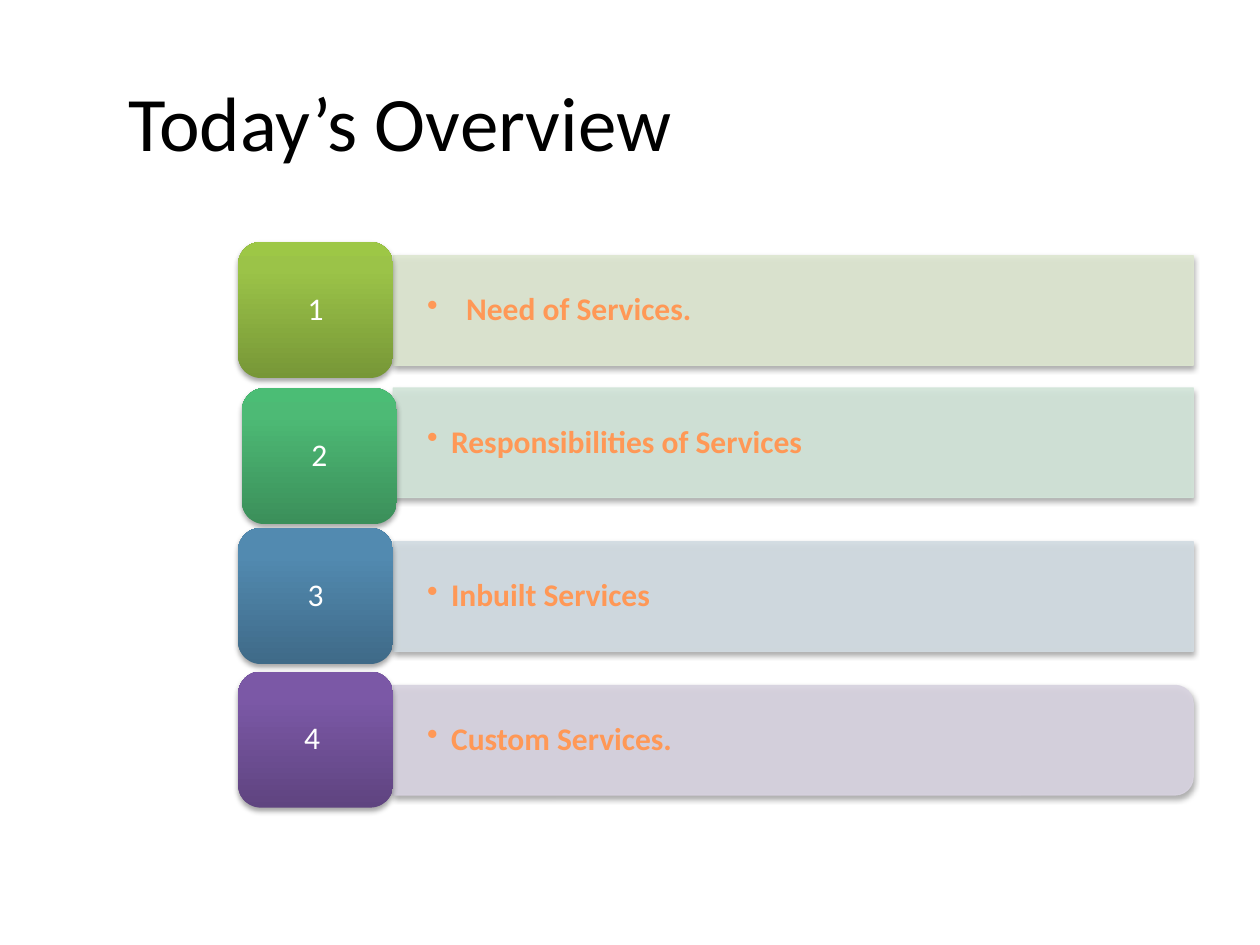
from dataclasses import dataclass

from lxml.etree import SubElement
from pptx import Presentation
from pptx.dml.color import RGBColor
from pptx.enum.shapes import MSO_SHAPE
from pptx.enum.text import MSO_ANCHOR, PP_ALIGN
from pptx.oxml.ns import qn
from pptx.shapes.autoshape import Shape
from pptx.slide import Slide
from pptx.util import Inches, Pt

BAR_LEFT, BAR_WIDE, BAR_HIGH = 3.12, 6.35, 0.87
TAG_WIDE, TAG_HIGH = 1.23, 1.08


@dataclass
class Topic:
    """One numbered line of the overview."""
    mark: str
    label: str
    bar_top: float
    tag_left: float
    tag_top: float
    tint: str
    ramp: tuple[str, str, str]
    indent: float = 0.19
    form: MSO_SHAPE = MSO_SHAPE.RECTANGLE


TOPICS = [
    Topic("1", "Need of Services.", 2.03, 1.89, 1.92, "DEE7D1",
          ("779737", "9BC348", "9DC746"), indent=0.31),
    Topic("2", "Responsibilities of Services", 3.08, 1.92, 3.08, "D2E5D9",
          ("3B8F5A", "4DBA75", "4BBD75")),
    Topic("3", "Inbuilt Services", 4.3, 1.89, 4.19, "D2DCE2",
          ("3F6A88", "528AB0", "518BB3")),
    Topic("4 ", "Custom Services.", 5.44, 1.89, 5.33, "D8D3E0",
          ("5F4480", "7B58A6", "7C57A8"), form=MSO_SHAPE.ROUND_2_SAME_RECTANGLE),
]


def color(code: str) -> RGBColor:
    """Turn a hex string into a colour."""
    return RGBColor.from_string(code)


def write(shape: Shape, text: str, *, size: float = 18, ink: str = "FFFFFF",
          bold: bool = False, align: PP_ALIGN = PP_ALIGN.LEFT, inset: tuple[float, float] = (0.1, 0.05),
          space: float = 0.9, indent: float = 0) -> None:
    """Put formatted text in a shape, bulleted when an indent is given."""
    frame = shape.text_frame
    frame.word_wrap = True
    frame.vertical_anchor = MSO_ANCHOR.MIDDLE
    frame.margin_left = frame.margin_right = Inches(inset[0])
    frame.margin_top = frame.margin_bottom = Inches(inset[1])
    para = frame.paragraphs[0]
    para.alignment, para.line_spacing = align, space
    run = para.add_run()
    run.text = text
    font = run.font
    font.name, font.size, font.bold = "Calibri", Pt(size), bold
    font.color.rgb = color(ink)
    if indent:
        para.level = 1
        props = para._p.get_or_add_pPr()
        props.set("marL", str(Inches(indent)))
        props.set("indent", str(-Inches(indent)))
        SubElement(props, qn("a:buChar"), char="•")


def shade(shape: Shape) -> None:
    """Give a shape a soft shadow below it."""
    shape.shadow.inherit = False
    effects = shape._element.spPr.find(qn("a:effectLst"))
    outer = SubElement(effects, qn("a:outerShdw"), blurRad=str(Pt(3.1)), dist=str(Pt(1.8)),
                       dir="5400000", rotWithShape="0")
    black = SubElement(outer, qn("a:srgbClr"), val="000000")
    SubElement(black, qn("a:alpha"), val="35000")


def draw_bar(slide: Slide, topic: Topic) -> None:
    """Draw the wide bar, turned on its side, and its label."""
    mid_x, mid_y = BAR_LEFT + BAR_WIDE / 2, topic.bar_top + BAR_HIGH / 2
    bar = slide.shapes.add_shape(
        topic.form, Inches(mid_x - BAR_HIGH / 2), Inches(mid_y - BAR_WIDE / 2),
        Inches(BAR_HIGH), Inches(BAR_WIDE))
    bar.rotation = 90
    bar.fill.solid()
    bar.fill.fore_color.rgb = color(topic.tint)
    bar.line.color.rgb = color(topic.tint)
    bar.line.width = Pt(0.75)
    for tone in list(bar._element.spPr.iter(qn("a:srgbClr"))):
        SubElement(tone, qn("a:alpha"), val="90000")
    shade(bar)
    label = slide.shapes.add_textbox(Inches(BAR_LEFT), Inches(topic.bar_top),
                                     Inches(BAR_WIDE), Inches(BAR_HIGH))
    write(label, topic.label, ink="FF9856", bold=True, inset=(0.27, 0.14), indent=topic.indent)


def draw_tag(slide: Slide, topic: Topic) -> None:
    """Draw the rounded number tag."""
    tag = slide.shapes.add_shape(
        MSO_SHAPE.ROUNDED_RECTANGLE, Inches(topic.tag_left), Inches(topic.tag_top),
        Inches(TAG_WIDE), Inches(TAG_HIGH))
    tag.fill.gradient()
    tag.fill.gradient_angle = 90
    stops = tag._element.spPr.find(qn("a:gradFill")).find(qn("a:gsLst"))
    for stop in list(stops):
        stops.remove(stop)
    for place, code in zip((0, 80, 100), topic.ramp):
        stop = SubElement(stops, qn("a:gs"), pos=str(place * 1000))
        SubElement(stop, qn("a:srgbClr"), val=code)
    tag.line.fill.background()
    shade(tag)
    write(tag, topic.mark, align=PP_ALIGN.CENTER, inset=(0.07, 0.04))


def main() -> None:
    """Build and save the overview slide."""
    deck = Presentation()
    deck.slide_width, deck.slide_height = Inches(10), Inches(7.5)
    slide = deck.slides.add_slide(deck.slide_layouts[5])
    title = slide.shapes.title
    title.left, title.top = Inches(0.92), Inches(0.33)
    title.width, title.height = Inches(8.83), Inches(1.25)
    write(title, "Today’s Overview", size=44, ink="000000", space=1.0)
    for topic in TOPICS:
        draw_bar(slide, topic)
        draw_tag(slide, topic)
    deck.save("out.pptx")


if __name__ == "__main__":
    main()
